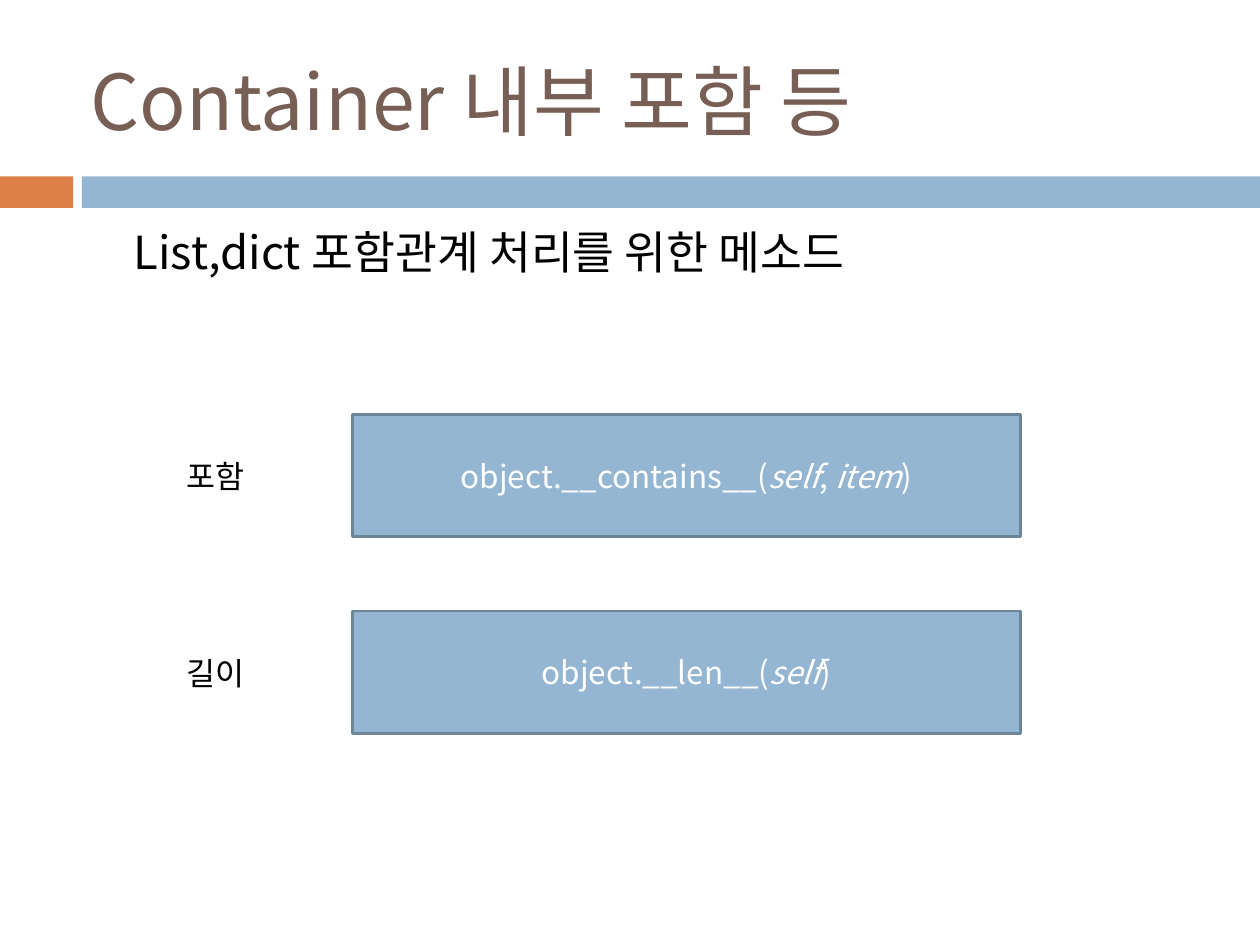
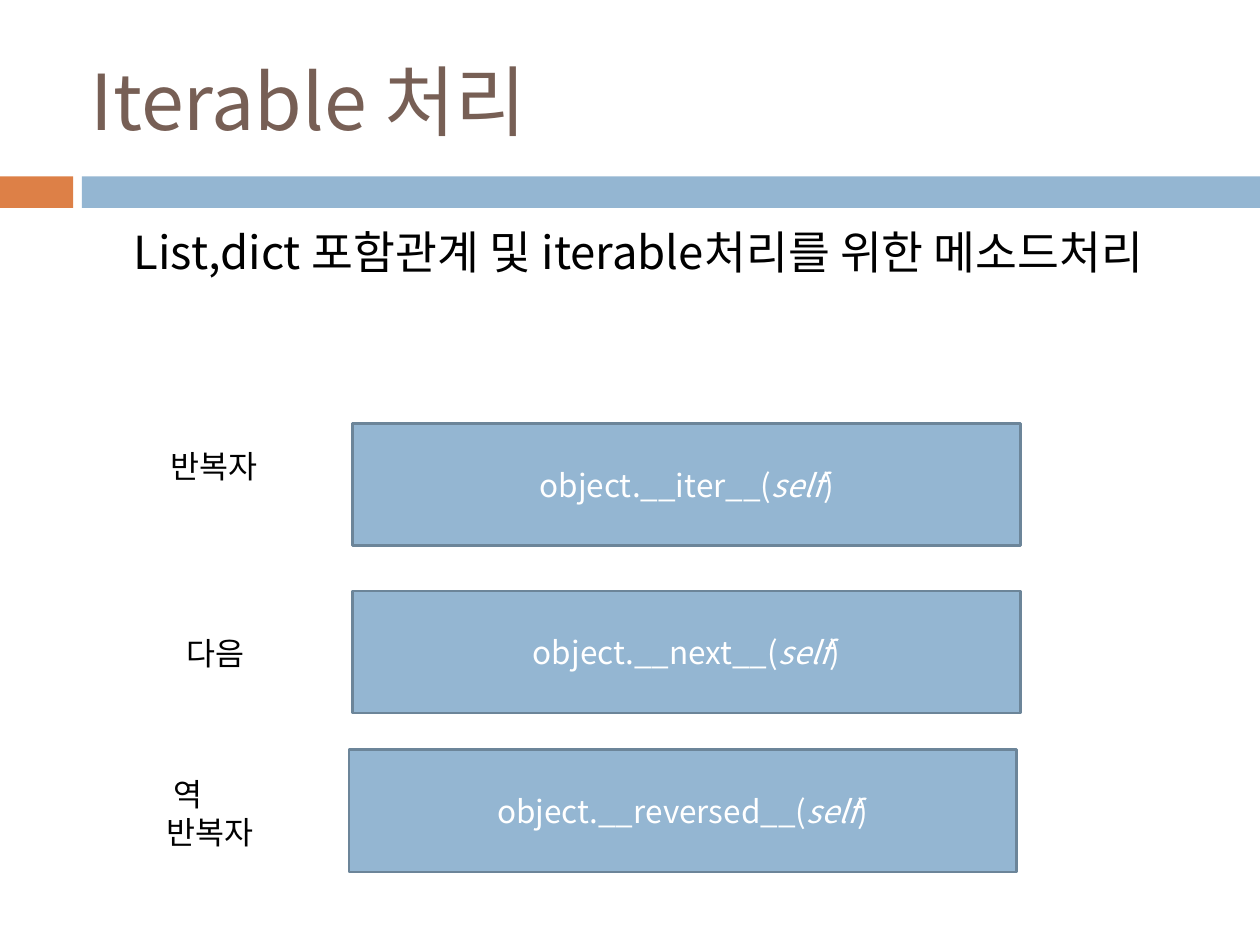
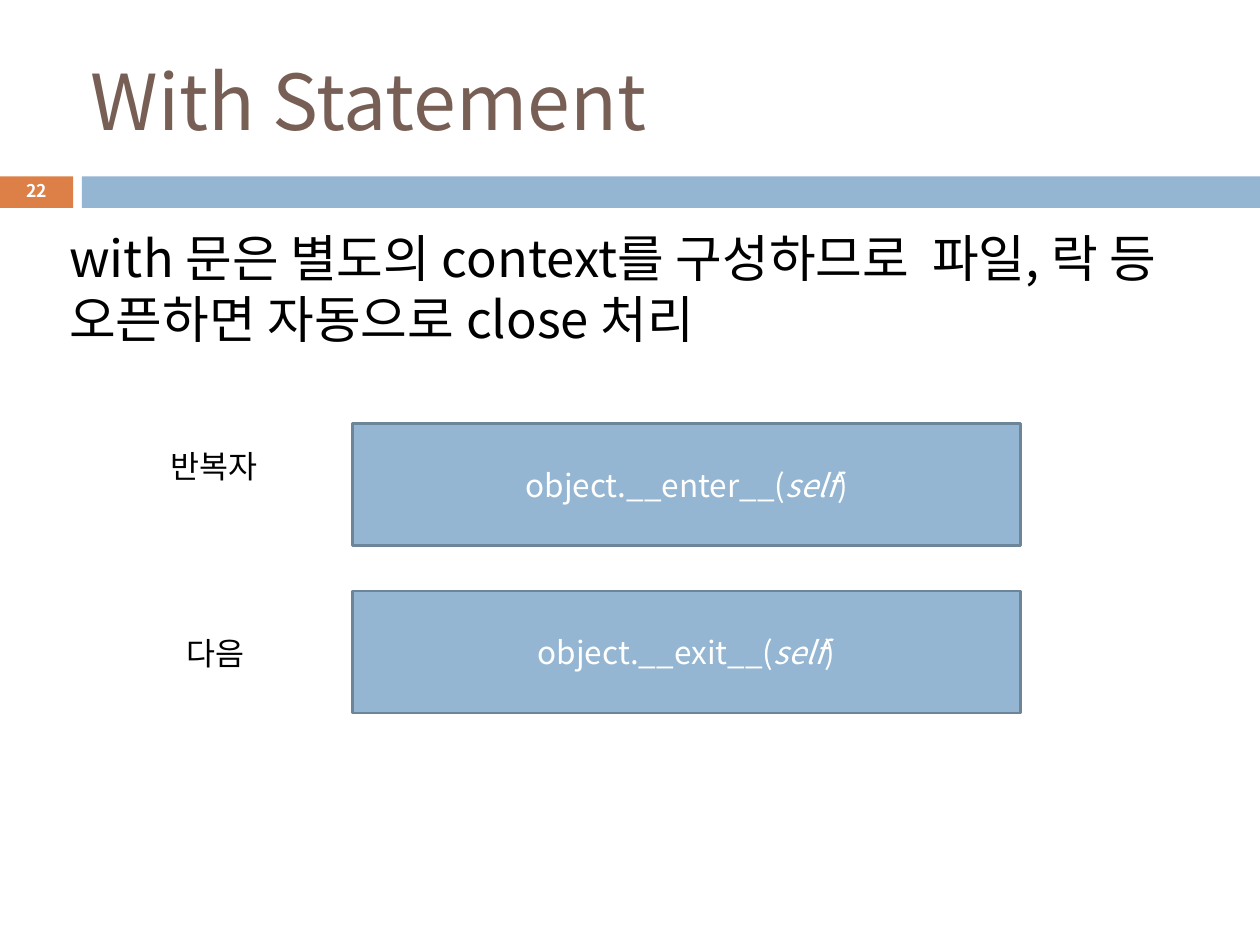
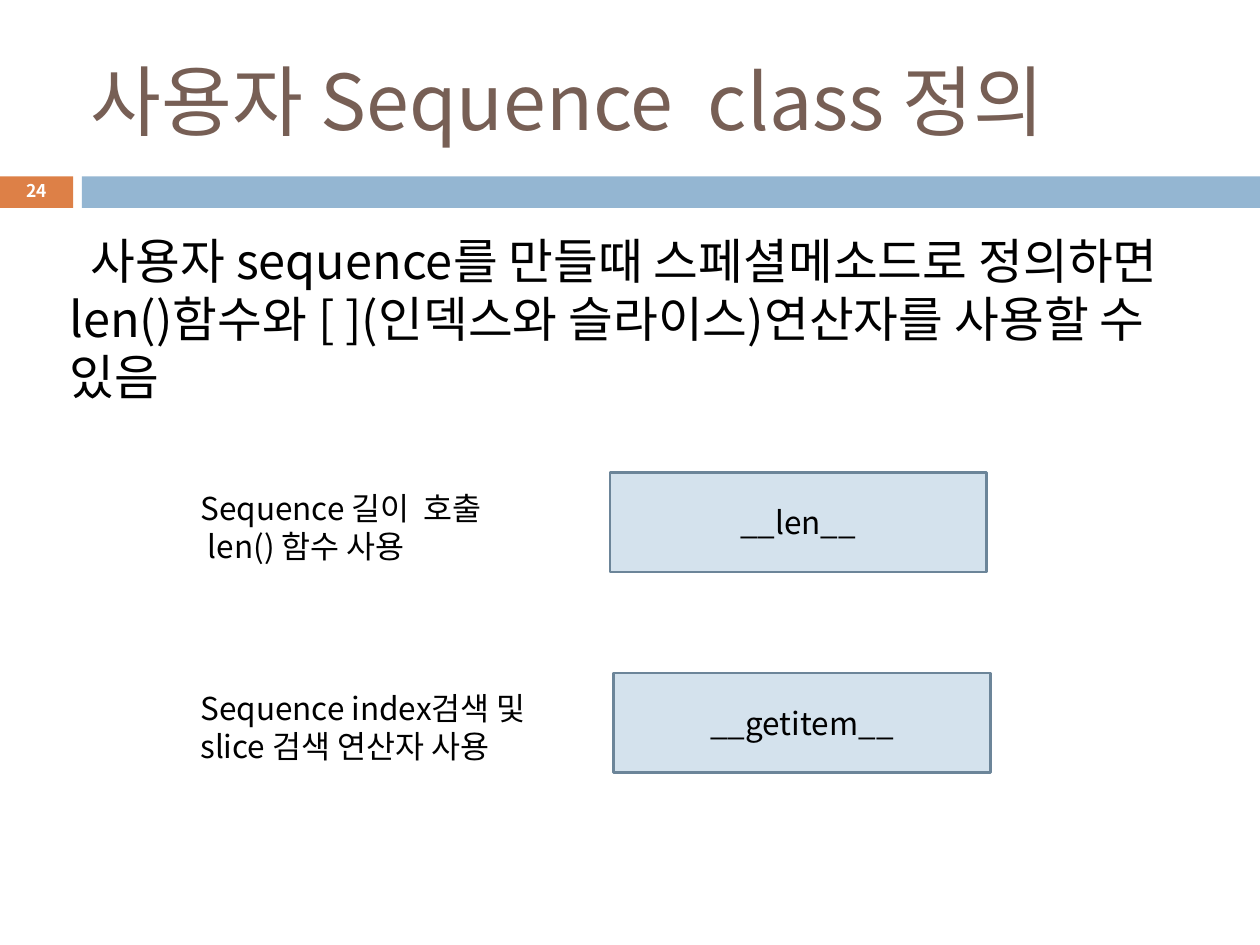
"""Build four slides on Python special methods for containers, iteration, contexts and sequences."""
from lxml import etree
from pptx import Presentation
from pptx.dml.color import RGBColor
from pptx.enum.shapes import MSO_SHAPE
from pptx.enum.text import MSO_ANCHOR, PP_ALIGN
from pptx.oxml.ns import qn
from pptx.util import Inches, Pt

FONT = "Noto Sans CJK KR"
ORANGE, BLUE, PALE_BLUE, OUTLINE = "DD8047", "94B6D2", "D4E2ED", "6C8599"
BROWN, BLACK, WHITE = "775F55", "000000", "FFFFFF"


def write(shape, text, size=18, color=BLACK, bold=False, align=PP_ALIGN.LEFT,
          anchor=MSO_ANCHOR.TOP, wrap=True, before=0, spacing=None, margin=0, indents=(0,)):
    """Fill a shape with one paragraph per line; words between asterisks are italic."""
    frame = shape.text_frame
    frame.word_wrap = wrap
    frame.vertical_anchor = anchor
    frame.margin_left = frame.margin_right = Inches(0.05)
    frame.margin_top = frame.margin_bottom = Inches(0.05)
    for index, line in enumerate(text.split("\n")):
        paragraph = frame.add_paragraph() if index else frame.paragraphs[0]
        paragraph.alignment = align
        paragraph.space_before = Pt(before)
        paragraph.line_spacing = spacing
        properties = paragraph._p.get_or_add_pPr()
        properties.set("marL", str(Inches(margin)))
        properties.set("indent", str(Inches(indents[index % len(indents)])))
        for part, words in enumerate(line.split("*")):
            run = paragraph.add_run()
            run.text = words
            run.font.size = Pt(size)
            run.font.bold = bold
            run.font.italic = part % 2 == 1
            run.font.color.rgb = RGBColor.from_string(color)
            run.font.name = FONT
            etree.SubElement(run._r.get_or_add_rPr(), qn("a:ea"), typeface=FONT)


def add_box(slide, left, top, width, height, fill, outline=None):
    """Add a flat rectangle, with an outline if a colour is given."""
    box = slide.shapes.add_shape(MSO_SHAPE.RECTANGLE, Inches(left), Inches(top),
                                 Inches(width), Inches(height))
    box.shadow.inherit = False
    box.fill.solid()
    box.fill.fore_color.rgb = RGBColor.from_string(fill)
    if outline:
        box.line.color.rgb = RGBColor.from_string(outline)
        box.line.width = Pt(1.5)
    else:
        box.line.fill.background()
    return box


METHOD = dict(width=5.3, height=0.97, fill=BLUE, color=WHITE)
SEQUENCE = dict(width=2.99, height=0.79, fill=PALE_BLUE, color=BLACK)
LEAD = dict(size=26, before=5, margin=0.5)

topics = [
    dict(title="Container 내부 포함 등", number="", style=METHOD,
         lead="List,dict 포함관계 처리를 위한 메소드", lead_at=(0.51, 1.73, 9, 1), lead_format=LEAD,
         methods=[("object.__contains__(*self*, *item*)", 2.8, 3.29), ("object.__len__(*self*)", 2.8, 4.85)],
         labels=[("포함", 1.43, 3.58, 0.61, 0.4, {}), ("길이", 1.43, 5.14, 0.61, 0.4, {})]),
    dict(title="Iterable 처리", number="", style=METHOD,
         lead="List,dict 포함관계 및 iterable처리를 위한 메소드처리", lead_at=(0.51, 1.73, 9, 1), lead_format=LEAD,
         methods=[("object.__iter__(*self*)", 2.8, 3.36), ("object.__next__(*self*)", 2.8, 4.69),
                  ("object.__reversed__(*self*)", 2.77, 5.95)],
         labels=[("반복자", 1.3, 3.5, 0.86, 0.4, {}), ("다음", 1.43, 4.98, 0.61, 0.4, {}),
                 ("역\n반복자", 1.27, 6.1, 0.86, 0.71, dict(indents=(0.06, 0)))]),
    dict(title="With Statement", number="22", style=METHOD,
         lead="with 문은 별도의 context를 구성하므로  파일, 락 등 오픈하면 자동으로 close 처리",
         lead_at=(0.5, 1.75, 9, 1.69), lead_format=dict(size=29, before=7),
         methods=[("object.__enter__(*self*)", 2.8, 3.36), ("object.__exit__(*self*)", 2.8, 4.69)],
         labels=[("반복자", 1.3, 3.5, 0.86, 0.4, {}), ("다음", 1.43, 4.98, 0.61, 0.4, {})]),
    dict(title="사용자 Sequence  class 정의", number="24", style=SEQUENCE,
         lead="사용자 sequence를 만들때 스페셜메소드로 정의하면 len()함수와 [ ](인덱스와 슬라이스)연산자를 사용할 수 있음",
         lead_at=(0.5, 1.78, 9, 1.65), lead_format=dict(size=27.8, before=6, indents=(0.17,)),
         methods=[("__len__", 4.84, 3.75), ("__getitem__", 4.87, 5.34)],
         labels=[("Sequence 길이  호출\nlen() 함수 사용", 1.54, 3.83, 2.83, 0.71,
                  dict(wrap=True, indents=(0, 0.06))),
                 ("Sequence index검색 및 slice 검색 연산자 사용", 1.54, 5.42, 2.83, 0.71, dict(wrap=True))]),
]

deck = Presentation()
deck.slide_width, deck.slide_height = Inches(10), Inches(7.5)

for topic in topics:
    slide = deck.slides.add_slide(deck.slide_layouts[5])
    number_band = add_box(slide, 0, 1.4, 0.58, 0.25, ORANGE)
    add_box(slide, 0.65, 1.4, 9.35, 0.25, BLUE)
    if topic["number"]:
        write(number_band, topic["number"], size=10, color=WHITE, bold=True, wrap=False,
              align=PP_ALIGN.CENTER, anchor=MSO_ANCHOR.MIDDLE, spacing=0.8)

    title = slide.shapes.title
    title.left, title.top = Inches(0.67), Inches(0.25)
    title.width, title.height = Inches(8.92), Inches(1.08)
    write(title, topic["title"], size=44, color=BROWN, anchor=MSO_ANCHOR.MIDDLE)

    lead = slide.shapes.add_textbox(*map(Inches, topic["lead_at"]))
    write(lead, topic["lead"], **topic["lead_format"])

    style = topic["style"]
    for signature, left, top in topic["methods"]:
        method = add_box(slide, left, top, style["width"], style["height"], style["fill"], OUTLINE)
        write(method, signature, color=style["color"], align=PP_ALIGN.CENTER, anchor=MSO_ANCHOR.MIDDLE)

    for text, left, top, width, height, text_format in topic["labels"]:
        label = slide.shapes.add_textbox(Inches(left), Inches(top), Inches(width), Inches(height))
        write(label, text, **{"wrap": False, **text_format})

deck.save("out.pptx")
